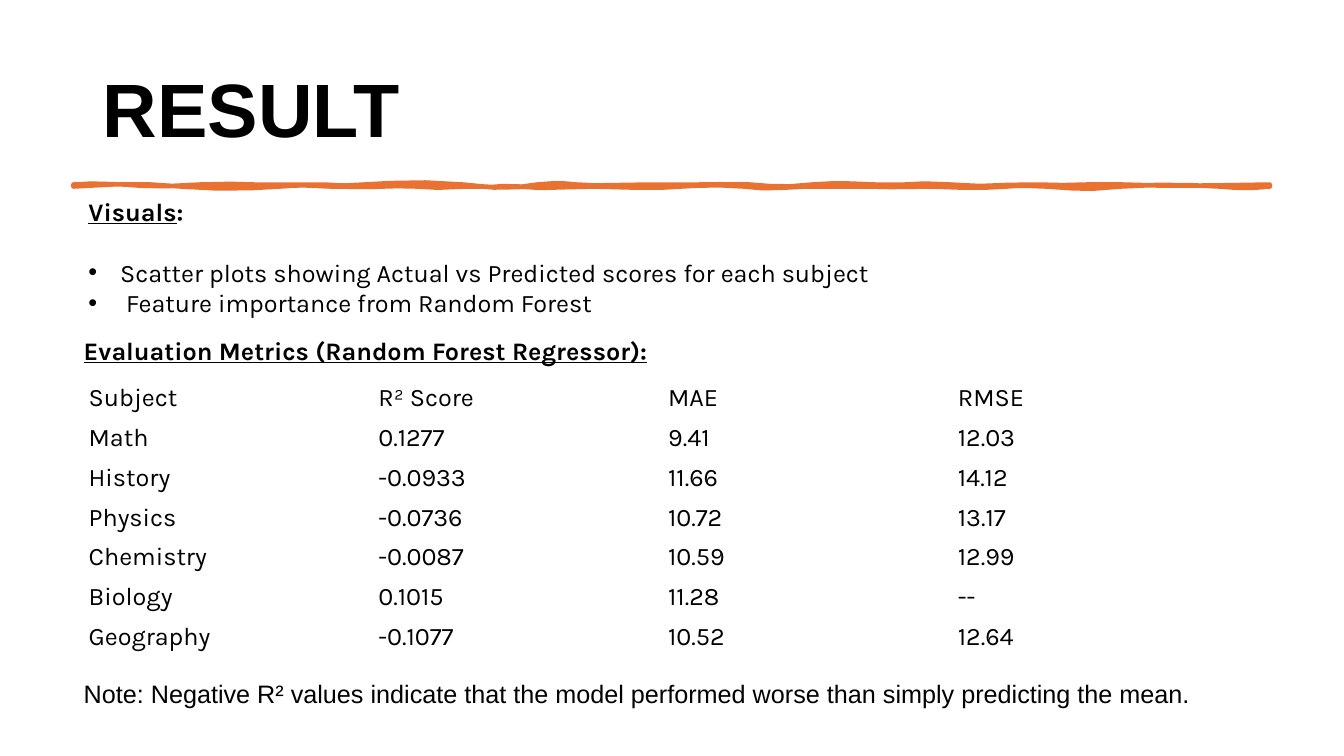
from dataclasses import dataclass

from lxml import etree
from pptx import Presentation
from pptx.dml.color import RGBColor
from pptx.enum.text import MSO_ANCHOR, PP_ALIGN
from pptx.oxml.ns import qn
from pptx.util import Cm, Pt

MIDDLE = MSO_ANCHOR.MIDDLE
TOP = MSO_ANCHOR.TOP
LEFT = PP_ALIGN.LEFT

BLACK = "000000"
ORANGE = "E97132"
BODY_FONT = "Karla"
PLAIN_FONT = "Arial"

RULE_TOP = 4.65
RULE_THICKNESS = 0.05
RULE_LEFT = 1.85
RULE_RIGHT = 32.0
CURVE_STEPS = 3

METRICS = (
    ("Subject", "R² Score", "MAE", "RMSE"),
    ("Math", "0.1277", "9.41", "12.03"),
    ("History", "-0.0933", "11.66", "14.12"),
    ("Physics", "-0.0736", "10.72", "13.17"),
    ("Chemistry", "-0.0087", "10.59", "12.99"),
    ("Biology", "0.1015", "11.28", "--"),
    ("Geography", "-0.1077", "10.52", "12.64"),
)


@dataclass(frozen=True)
class Box:
    left: float
    top: float
    width: float
    height: float

    def lengths(self):
        return Cm(self.left), Cm(self.top), Cm(self.width), Cm(self.height)


@dataclass(frozen=True)
class Wave:
    first_x: float
    first_rise: float
    second_x: float
    second_rise: float
    end_x: float


@dataclass(frozen=True)
class TextBlock:
    box: Box
    lines: tuple
    font: str
    bold: bool = False
    underline: bool = False
    anchor: int = TOP


UPPER_EDGE = (
    Wave(2.26, -0.05, 2.82, 0, 3.15),
    Wave(3.45, 0.03, 4.11, 0.08, 5.03),
    Wave(5.94, -0.05, 6.38, 0.03, 7.21),
    Wave(8.05, 0, 7.8, 0, 8.18),
    Wave(8.59, 0.03, 8.69, 0.03, 9.17),
    Wave(9.65, -0.03, 10.77, -0.1, 11.66),
    Wave(12.55, 0.13, 13.13, 0.08, 13.54),
    Wave(13.94, -0.05, 14.3, -0.03, 14.53),
    Wave(14.76, 0.05, 15.88, 0, 16.41),
    Wave(16.94, 0.03, 18.36, -0.03, 18.9),
    Wave(19.43, 0.05, 19.86, 0.08, 20.47),
    Wave(21.08, -0.05, 21.29, -0.03, 22.05),
    Wave(22.83, 0.05, 23.22, -0.08, 23.95),
    Wave(24.69, 0.1, 25.45, -0.03, 26.14),
    Wave(26.8, 0.05, 27.38, -0.03, 28.32),
    Wave(29.24, 0.05, 30.45, 0.03, RULE_RIGHT),
)
LOWER_EDGE = (
    Wave(31.55, 0.05, 31.24, 0.05, 30.73),
    Wave(30.23, -0.03, 29.18, -0.08, 28.24),
    Wave(27.31, 0.1, 27.18, 0.05, 26.37),
    Wave(25.53, -0.03, 25.86, -0.03, 25.37),
    Wave(24.89, 0.05, 24.08, 0.03, 23.5),
    Wave(22.91, 0, 22.45, 0.03, 21.92),
    Wave(21.36, 0, 21.03, 0, 20.32),
    Wave(19.63, 0.03, 19.23, 0.08, 18.75),
    Wave(18.26, -0.05, 17.48, -0.03, 17.17),
    Wave(16.84, 0.05, 15.85, 0.03, 14.99),
    Wave(14.1, 0, 13.64, 0.08, 13.08),
    Wave(12.55, -0.05, 12.47, 0.05, 12.12),
    Wave(11.76, -0.03, 10.92, 0.08, 10.52),
    Wave(10.13, -0.05, 9.42, 0.05, 8.33),
    Wave(7.26, -0.05, 7.7, -0.03, 7.06),
    Wave(6.43, 0.05, 5.41, 0.08, 4.57),
    Wave(3.73, -0.08, 3, -0.08, RULE_LEFT),
)

VISUALS = TextBlock(
    Box(1.98, 4.83, 23.55, 3.33),
    (
        "Visuals:",
        "Scatter plots showing Actual vs Predicted scores for each subject",
        " Feature importance from Random Forest",
    ),
    BODY_FONT,
)
METRICS_HEADING = TextBlock(
    Box(1.86, 8.33, 16.94, 1.02),
    ("Evaluation Metrics (Random Forest Regressor):",),
    BODY_FONT, bold=True, underline=True,
)
NOTE = TextBlock(
    Box(1.86, 16.84, 30.5, 1.27),
    ("Note: Negative R² values indicate that the model performed worse "
     "than simply predicting the mean.",),
    PLAIN_FONT, anchor=MIDDLE,
)


def color(value: str) -> RGBColor:
    return RGBColor.from_string(value)


def format_run(run, font: str, size: float = 18, bold: bool = False, underline: bool = False) -> None:
    run.font.name = font
    run.font.size = Pt(size)
    run.font.bold = bold
    run.font.underline = underline
    run.font.color.rgb = color(BLACK)


def add_title(slide) -> None:
    title = slide.shapes.title
    title.left, title.top, title.width, title.height = Box(2.34, 1.02, 29.21, 3.68).lengths()
    title.text_frame.text = "RESULT"
    title.text_frame.vertical_anchor = MIDDLE
    paragraph = title.text_frame.paragraphs[0]
    paragraph.alignment = LEFT
    paragraph.line_spacing = 0.9
    format_run(paragraph.runs[0], PLAIN_FONT, 54, bold=True)


def edge_points(start_x: float, base: float, waves: tuple) -> list:
    points = []
    for wave in waves:
        for step in range(1, CURVE_STEPS + 1):
            t = step / CURVE_STEPS
            start, first, second, end = (1 - t) ** 3, 3 * t * (1 - t) ** 2, 3 * t * t * (1 - t), t ** 3
            x = start * start_x + first * wave.first_x + second * wave.second_x + end * wave.end_x
            y = base + first * wave.first_rise + second * wave.second_rise
            points.append((Cm(x), Cm(y)))
        start_x = wave.end_x
    return points


def add_rule(slide) -> None:
    lower = RULE_TOP + RULE_THICKNESS
    builder = slide.shapes.build_freeform(Cm(RULE_LEFT), Cm(RULE_TOP))
    builder.add_line_segments(edge_points(RULE_LEFT, RULE_TOP, UPPER_EDGE), close=False)
    builder.add_line_segments([(Cm(RULE_RIGHT), Cm(lower))] + edge_points(RULE_RIGHT, lower, LOWER_EDGE))
    shape = builder.convert_to_shape()
    shape.shadow.inherit = False
    shape.fill.solid()
    shape.fill.fore_color.rgb = color(ORANGE)
    shape.line.color.rgb = color(ORANGE)
    shape.line.width = Pt(3.25)


def add_text(slide, block: TextBlock):
    frame = slide.shapes.add_textbox(*block.box.lengths()).text_frame
    frame.word_wrap = True
    frame.vertical_anchor = block.anchor
    frame.text = "\n".join(block.lines)
    for paragraph in frame.paragraphs:
        format_run(paragraph.runs[0], block.font, bold=block.bold, underline=block.underline)
    return frame


def add_visuals(slide) -> None:
    heading, *bullets = add_text(slide, VISUALS).paragraphs
    heading.text = "Visuals"
    heading.add_run().text = ":"
    for run, underline in zip(heading.runs, (True, False)):
        format_run(run, BODY_FONT, bold=True, underline=underline)
    bullets[0].space_before = Pt(21.5)
    for paragraph in bullets:
        properties = paragraph._p.get_or_add_pPr()
        properties.set("marL", str(Cm(0.8)))
        properties.set("indent", str(-Cm(0.8)))
        etree.SubElement(properties, qn("a:buFont")).set("typeface", PLAIN_FONT)
        etree.SubElement(properties, qn("a:buChar")).set("char", "•")


def add_metrics_table(slide) -> None:
    box = Box(1.98, 9.53, 29.21, len(METRICS) * 1.005)
    table = slide.shapes.add_table(len(METRICS), len(METRICS[0]), *box.lengths()).table
    table.first_row = False
    table.horz_banding = False
    for row, values in enumerate(METRICS):
        for column, value in enumerate(values):
            cell = table.cell(row, column)
            cell.text_frame.text = value
            cell.vertical_anchor = MIDDLE
            cell.fill.background()
            format_run(cell.text_frame.paragraphs[0].runs[0], BODY_FONT)


def main() -> None:
    presentation = Presentation()
    presentation.slide_width = Cm(33.87)
    presentation.slide_height = Cm(19.05)
    slide = presentation.slides.add_slide(presentation.slide_layouts[5])
    add_title(slide)
    add_rule(slide)
    add_metrics_table(slide)
    add_visuals(slide)
    add_text(slide, METRICS_HEADING)
    add_text(slide, NOTE)
    presentation.save("out.pptx")


if __name__ == "__main__":
    main()
